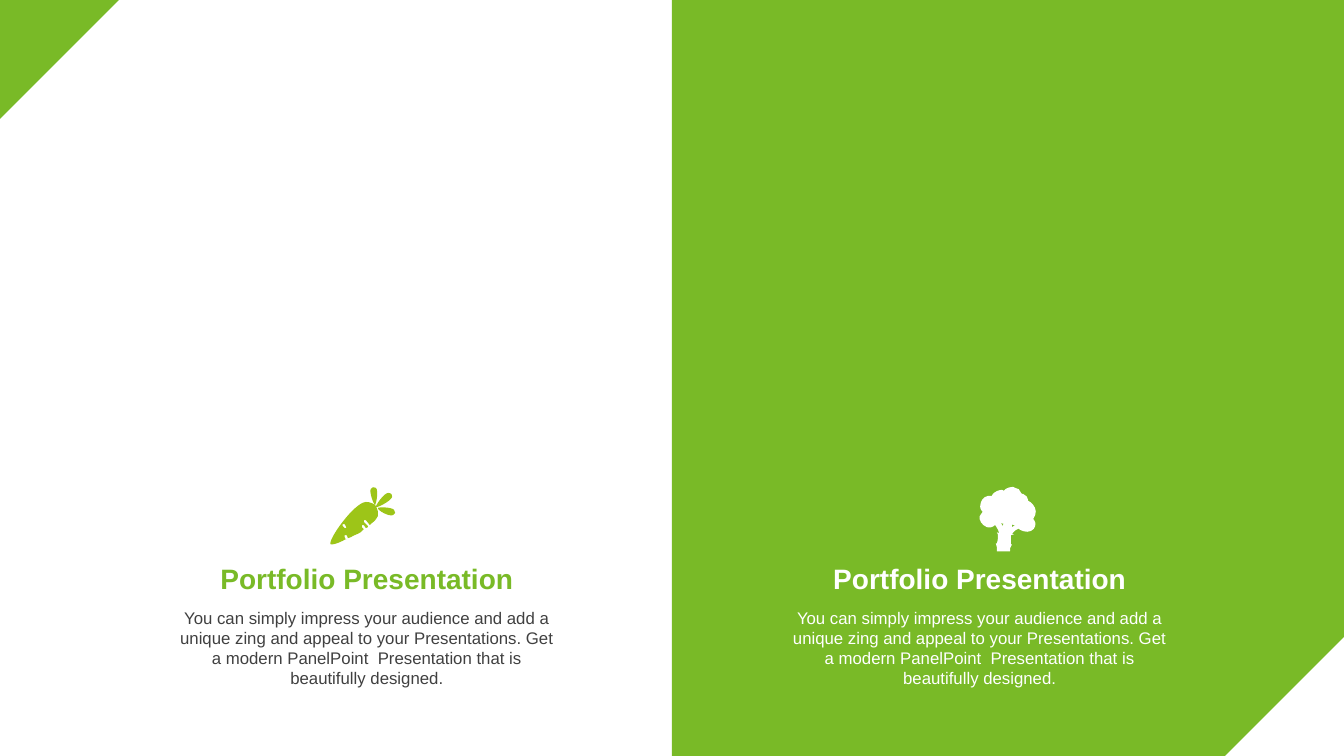
from pptx import Presentation
from pptx.dml.color import RGBColor
from pptx.enum.shapes import MSO_SHAPE as Preset
from pptx.enum.text import MSO_ANCHOR as Anchor, PP_ALIGN as Align
from pptx.oxml.ns import qn
from pptx.util import Pt

PX = 3048  # EMU in one px, 300 px to the inch
ICON_GRID = 3  # px in one step of the icon outlines
WIDTH, HEIGHT = 4000, 2250
HALF = WIDTH // 2
CORNER = 354
GREEN, LIME, WHITE, GREY = "79BA27", "9DC518", "FFFFFF", "404040"

TITLE = "Portfolio Presentation"
BODY = ("You can simply impress your audience and add a unique zing and appeal "
        "to your Presentations. Get a modern PanelPoint  Presentation that is "
        "beautifully designed.")

# Each part is a list of closed contours: M start, L lines, C cubic curves.
CARROT_PARTS = [
    [
        "M 342,520 C 341,520 341,520 340,520 340,521 340,521 340,522 L 342,524 "
        "C 342,524 343,524 343,524 344,524 344,523 343,522",
        "M 373,502 C 375,505 375,508 375,512 374,514 372,517 369,519 "
        "L 367,521 363,516 C 363,516 362,516 361,516 361,517 361,517 361,518 "
        "L 365,522 365,523 363,524 361,521 C 361,521 360,521 359,521 "
        "359,521 359,522 359,523 L 361,525 358,528 C 355,530 351,531 348,533 "
        "L 345,534 C 345,534 345,534 345,533 L 344,531 "
        "C 343,531 342,531 342,531 341,532 341,532 342,533 L 343,535 344,535 343,535 "
        "C 336,539 329,541 328,540 325,536 351,499 363,498 368,498 371,500 373,502",
    ],
    ["M 385,489 C 388,489 390,491 389,493 388,497 374,504 373,503 372,502 381,489 385,489"],
    ["M 391,506 C 393,508 392,510 390,511 386,513 374,506 375,504 375,503 389,503 391,506"],
    ["M 373,484 C 371,483 369,483 368,485 366,488 371,501 372,501 373,501 376,487 373,484"],
]
BROCCOLI_PARTS = [
    [
        "M 1005,483 C 1006,483 1006,483 1007,484 1010,484 1012,486 1013,489 "
        "L 1014,490 1015,490 C 1018,491 1020,494 1020,496 L 1020,497 1022,498 "
        "C 1026,501 1029,506 1027,511 L 1025,515 1026,516 "
        "C 1027,518 1028,520 1027,522 1026,526 1021,529 1015,527 "
        "1013,526 1010,525 1009,523 L 1008,521 1007,521 "
        "C 1006,521 1004,521 1003,520 L 1000,519 C 998,520 995,520 992,519 "
        "L 989,518 988,520 C 986,523 982,524 979,523 974,521 971,516 972,512 "
        "973,511 973,510 974,509 L 975,508 974,507 C 972,504 972,501 973,499 "
        "974,494 979,491 984,492 L 985,490 C 987,488 991,486 994,486 "
        "L 996,487 998,485 C 1000,484 1002,483 1005,483",
    ],
    [
        "M 1004,513 C 1004,516 1004,520 1004,523 1006,521 1008,520 1011,520 "
        "1013,521 1014,521 1016,523 1008,524 1005,528 1004,530 "
        "1004,530 1004,530 1006,530 1004,531 1004,531 1003,531 L 1003,540 "
        "C 1003,540 1003,540 1004,540 1002,542 1002,545 1002,547 L 989,547 "
        "C 989,543 989,542 988,539 989,539 989,539 989,539 "
        "990,536 991,530 989,528 L 991,529 C 991,527 990,524 985,518 "
        "L 990,516 C 993,517 993,520 995,522 L 997,512",
    ],
]


def color(value):
    return RGBColor.from_string(value)


def paint(shape, fill):
    shape.shadow.inherit = False
    shape.fill.solid()
    shape.fill.fore_color.rgb = color(fill)
    shape.line.fill.background()


def add_block(slide, preset, box, fill, rotation=0):
    shape = slide.shapes.add_shape(preset, *(value * PX for value in box))
    shape.rotation = rotation
    paint(shape, fill)


def add_text(slide, text, box, anchor, formats, hex_color):
    frame = slide.shapes.add_textbox(*(value * PX for value in box)).text_frame
    frame.word_wrap = True
    frame.vertical_anchor = anchor
    paragraph = frame.paragraphs[0]
    paragraph.text = text
    paragraph.alignment = Align.CENTER
    for name, value in formats.items():
        setattr(paragraph.font, name, value)
    paragraph.font.color.rgb = color(hex_color)


def read_contour(contour):
    """Return the points of a contour and the command each belongs to."""
    points, commands, command = [], [], "M"
    for token in contour.split():
        if token in "MLC":
            command = token
        else:
            points.append(tuple(int(value) * ICON_GRID for value in token.split(",")))
            commands.append(command)
    return points, commands


def bend_lines(shape, commands):
    """Join every three lines that stand for a curve into one cubic curve."""
    lines = list(shape._element.iter(qn("a:lnTo")))
    curve_lines = [line for line, command in zip(lines, commands) if command == "C"]
    for curve, *others in zip(*[iter(curve_lines)] * 3):
        curve.tag = qn("a:cubicBezTo")
        for line in others:
            curve.append(line[0])
            line.getparent().remove(line)


def add_icon(slide, parts, fill):
    group = slide.shapes.add_group_shape()
    for contours in parts:
        builder, segment_commands = None, []
        for points, commands in map(read_contour, contours):
            if builder is None:
                builder = group.shapes.build_freeform(*points[0], scale=PX)
            else:
                builder.move_to(*points[0])
            builder.add_line_segments(points[1:])
            segment_commands += commands[1:]
        shape = builder.convert_to_shape()
        bend_lines(shape, segment_commands)
        paint(shape, fill)


def add_panel_text(slide, left, title_color, body_color):
    body_format = {"name": "Arial", "size": Pt(12)}
    title_format = {"name": "Arial", "size": Pt(20), "bold": True}
    add_text(slide, BODY, (left, 1793, 1208, 273), Anchor.TOP, body_format, body_color)
    add_text(slide, TITLE, (left, 1674, 1208, 93), Anchor.MIDDLE, title_format, title_color)


def main():
    presentation = Presentation()
    presentation.slide_width = WIDTH * PX
    presentation.slide_height = HEIGHT * PX
    slide = presentation.slides.add_slide(presentation.slide_layouts[6])

    add_block(slide, Preset.RECTANGLE, (HALF, 0, HALF, HEIGHT), GREEN)
    add_block(slide, Preset.RIGHT_TRIANGLE, (0, 0, CORNER, CORNER), GREEN, 90)
    add_block(slide, Preset.RIGHT_TRIANGLE,
              (WIDTH - CORNER, HEIGHT - CORNER, CORNER, CORNER), WHITE, 270)
    add_panel_text(slide, 488, GREEN, GREY)
    add_panel_text(slide, 2312, WHITE, WHITE)
    add_icon(slide, CARROT_PARTS, LIME)
    add_icon(slide, BROCCOLI_PARTS, WHITE)

    presentation.save("out.pptx")


if __name__ == "__main__":
    main()
